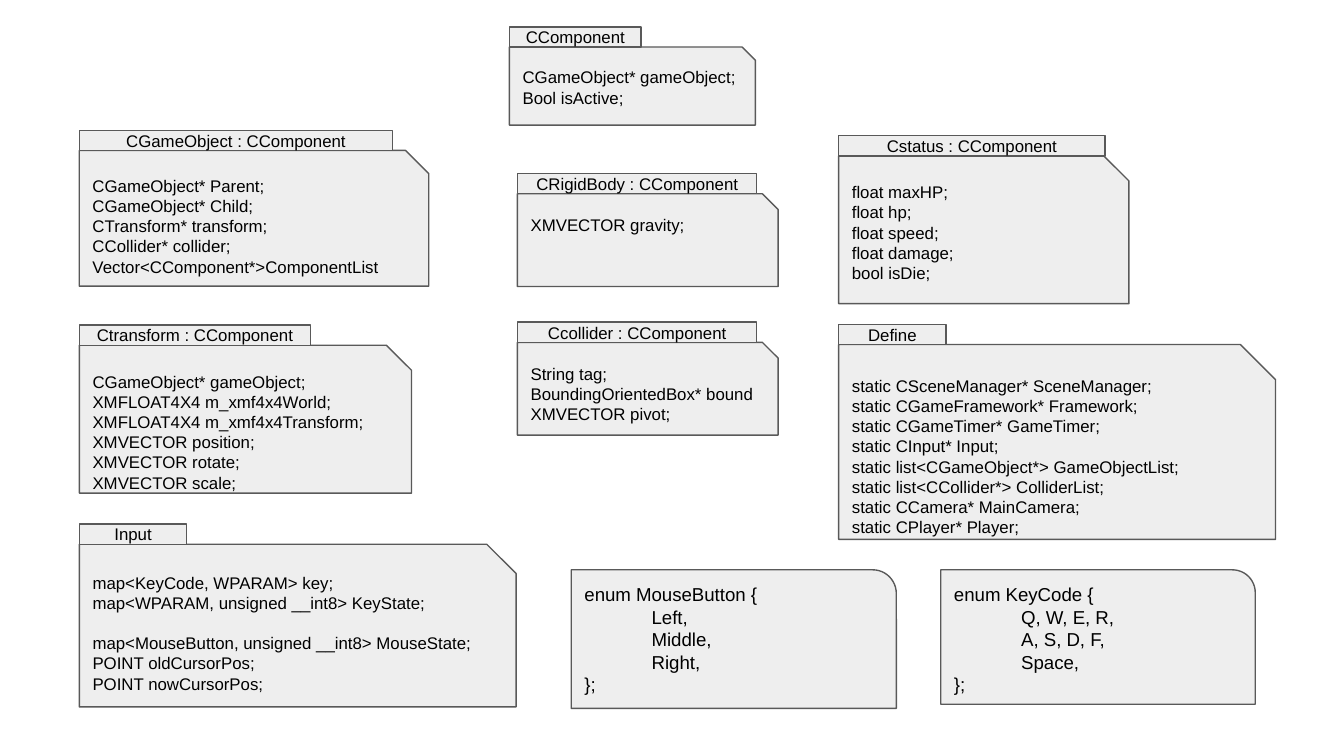
from pptx import Presentation
from pptx.dml.color import RGBColor
from pptx.enum.shapes import MSO_SHAPE
from pptx.enum.text import MSO_ANCHOR, PP_ALIGN
from pptx.util import Pt

PANEL = RGBColor(0xEE, 0xEE, 0xEE)
OUTLINE = RGBColor(0x59, 0x59, 0x59)
INK = RGBColor(0, 0, 0)
FONT = "Arial"
INSET = Pt(7.2)
TAB_HEIGHT = 10.8
BLANK_LINE = 10.8
LEFT, MIDDLE, RIGHT = 42.5, 277.2, 449.3
ENUM_TOP = 305.3

# name, left, top, tab width, body width, body height, snip, member groups
CLASSES = [
    ("CGameObject : CComponent", LEFT, 69.8, 167.8, 187.2, 72.7, 0.17,
     [["CGameObject* Parent;", "CGameObject* Child;", "CTransform* transform;",
       "CCollider* collider;", "Vector<CComponent*>ComponentList"]]),
    ("CComponent", 272.9, 14.4, 70.6, 131.8, 41.8, 0.17,
     [["CGameObject* gameObject;", "Bool isActive;"]]),
    ("Input", LEFT, 280.8, 57.6, 234, 87.1, 0.18,
     [["map<KeyCode, WPARAM> key;", "map<WPARAM, unsigned __int8> KeyState;"],
      ["map<MouseButton, unsigned __int8> MouseState;",
       "POINT oldCursorPos;", "POINT nowCursorPos;"]]),
    ("Ctransform : CComponent", LEFT, 174.2, 123.8, 178, 79.2, 0.17,
     [["CGameObject* gameObject;", "XMFLOAT4X4 m_xmf4x4World;",
       "XMFLOAT4X4 m_xmf4x4Transform;", "XMVECTOR position;",
       "XMVECTOR rotate;", "XMVECTOR scale;"]]),
    ("Define", RIGHT, 173.8, 57.6, 234, 104.4, 0.18,
     [["static CSceneManager* SceneManager;", "static CGameFramework* Framework;",
       "static CGameTimer* GameTimer;", "static CInput* Input;",
       "static list<CGameObject*> GameObjectList;",
       "static list<CCollider*> ColliderList;",
       "static CCamera* MainCamera;", "static CPlayer* Player;"]]),
    ("Cstatus : CComponent", RIGHT, 72.7, 142.6, 155.5, 79.2, 0.17,
     [["float maxHP;", "float hp;", "float speed;", "float damage;",
       "bool isDie;"]]),
    ("Ccollider : CComponent", MIDDLE, 172.6, 128.2, 139.7, 49.7, 0.17,
     [["String tag;", "BoundingOrientedBox* bound", "XMVECTOR pivot;"]]),
    ("CRigidBody : CComponent", MIDDLE, 93, 128.2, 139.7, 49.7, 0.17,
     [["XMVECTOR gravity;"]]),
]

# name, left, width, height, values
ENUMS = [
    ("KeyCode", 504, 168.5, 72, ["Q, W, E, R,", "A, S, D, F,", "Space,"]),
    ("MouseButton", 306, 174.2, 74.2, ["Left,", "Middle,", "Right,"]),
]


def add_panel(page, kind, left, top, width, height, adjustment=None):
    """Add a grey outlined shape with even text insets."""
    box = page.shapes.add_shape(kind, Pt(left), Pt(top), Pt(width), Pt(height))
    box.shadow.inherit = False
    box.fill.solid()
    box.fill.fore_color.rgb = PANEL
    box.line.color.rgb = OUTLINE
    box.line.width = Pt(0.75)
    if adjustment is not None:
        box.adjustments[0] = adjustment
    frame = box.text_frame
    frame.word_wrap = True
    frame.margin_left = frame.margin_right = INSET
    frame.margin_top = frame.margin_bottom = INSET
    frame.vertical_anchor = MSO_ANCHOR.TOP
    return box


def write_groups(box, groups, size, align=PP_ALIGN.LEFT):
    """Write groups of lines, with a one-line gap between groups."""
    frame = box.text_frame
    para = None
    for group_index, lines in enumerate(groups):
        for line_index, line in enumerate(lines):
            para = frame.paragraphs[0] if para is None else frame.add_paragraph()
            para.alignment = align
            if group_index and not line_index:
                para.space_before = Pt(BLANK_LINE)
            span = para.add_run()
            span.text = line
            span.font.name = FONT
            span.font.size = Pt(size)
            span.font.color.rgb = INK


def add_class(page, name, left, top, tab_width, width, height, snip, groups):
    """Add a class: a snipped body below a name tab."""
    body = add_panel(page, MSO_SHAPE.SNIP_1_RECTANGLE, left, top + TAB_HEIGHT,
                     width, height, snip)
    write_groups(body, groups, 9)
    tab = add_panel(page, MSO_SHAPE.RECTANGLE, left, top, tab_width, TAB_HEIGHT)
    tab.text_frame.vertical_anchor = MSO_ANCHOR.MIDDLE
    write_groups(tab, [[name]], 9, PP_ALIGN.CENTER)


def add_enum(page, name, left, width, height, values):
    """Add an enumeration in a box with one rounded corner."""
    box = add_panel(page, MSO_SHAPE.ROUND_1_RECTANGLE, left, ENUM_TOP,
                    width, height, 0.17)
    lines = [f"enum {name} {{", *(f"\t{value}" for value in values), "};"]
    write_groups(box, [lines], 10)


def main():
    """Build the class overview slide."""
    deck = Presentation()
    deck.slide_width, deck.slide_height = Pt(720), Pt(405)
    page = deck.slides.add_slide(deck.slide_layouts[6])
    for entry in CLASSES:
        add_class(page, *entry)
    for entry in ENUMS:
        add_enum(page, *entry)
    deck.save("out.pptx")


main()
